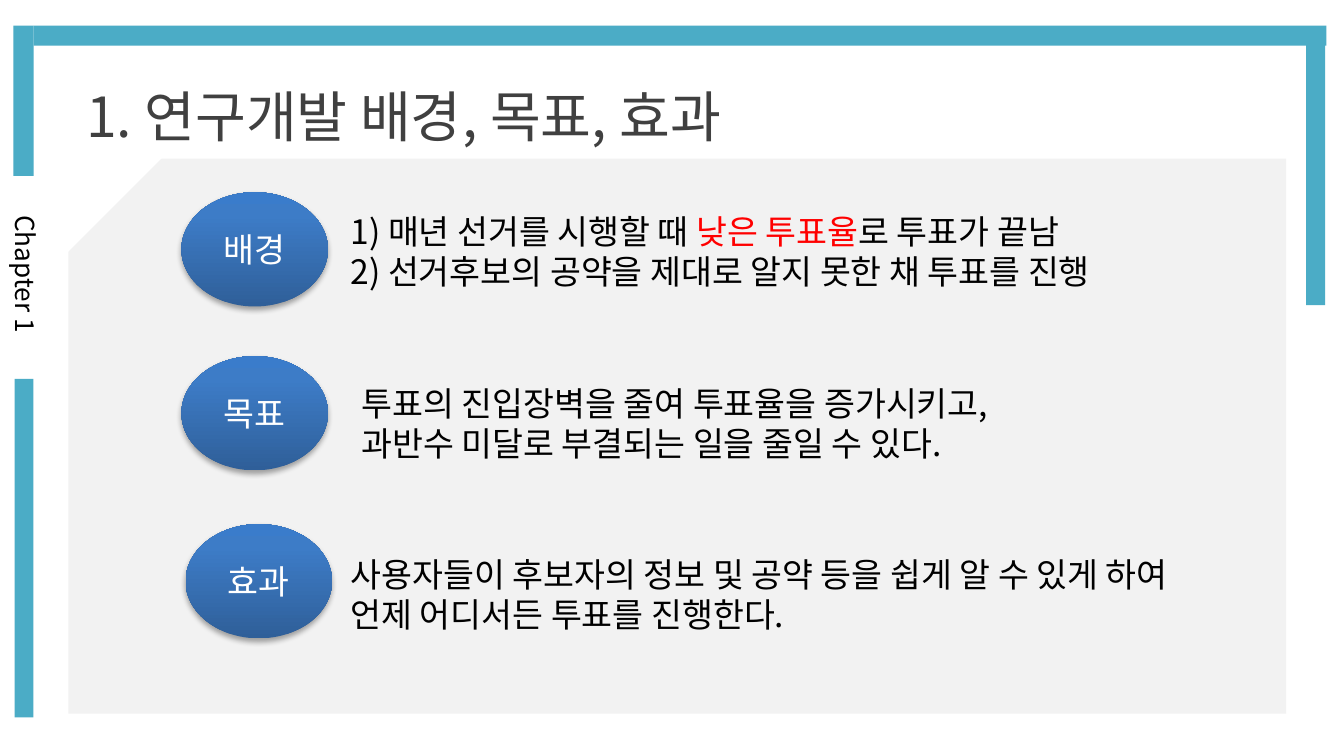
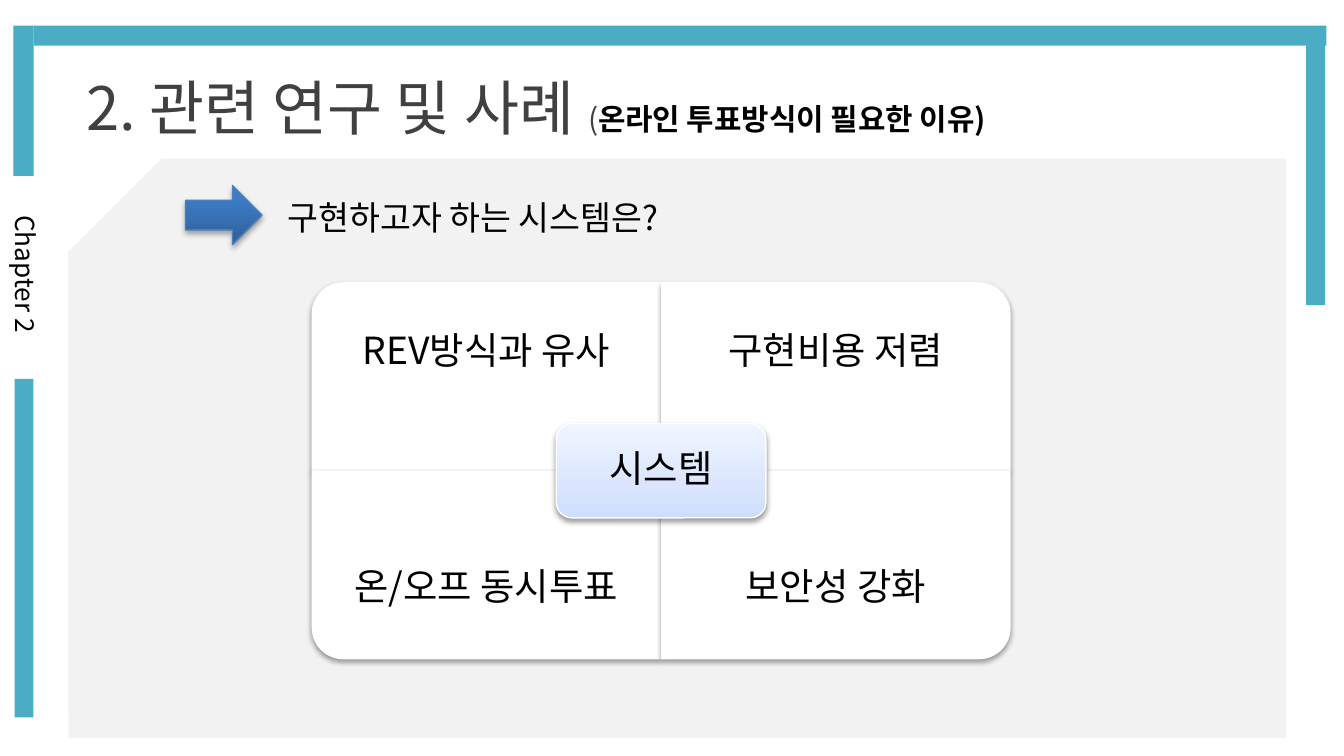
from lxml import etree
from pptx import Presentation
from pptx import util as u
from pptx.dml.color import RGBColor
from pptx.enum import shapes, text
from pptx.oxml.ns import qn

FONT = "Noto Sans CJK KR"
COLORS = {
    "band": "4BACC6", "panel": "F2F2F2", "white": "FFFFFF", "black": "000000",
    "title": "404040", "accent": "FF0000", "arrow_line": "4B7EBC",
}
BLUE_STOPS = [(0, "2F5F99"), (80, "3D7CC7"), (100, "3A7CCB")]
PALE_STOPS = [(0, "CDDDFE"), (35, "DBE6FE"), (100, "F0F5FF")]
BLUE_SHADOW = (35, 1.8)
CARD_SHADOW = (38, 1.6)

PANEL = (36.7, 85, 652.3, 297.4)
LOWER_PANEL = (36.7, 94.3, 652.3, 301)
BANDS = [
    (7.2, 13.7, 10.8, 80.6),
    (7.9, 203, 10.1, 181.4),
    (18, 13.7, 692.6, 10.8),
    (699.8, 17.3, 10.1, 146.2),
]
CORNER = (34.6, 51.8, 85, 85)
CHAPTER = (-48.2, 134.6, 123.8, 24.5)

Shape = shapes.MSO_SHAPE
Align = text.PP_ALIGN
Anchor = text.MSO_ANCHOR


def rgb(name):
    return RGBColor.from_string(COLORS[name])


def points(box):
    return [u.Pt(value) for value in box]


def write(shape, paragraphs, size=18, color="black", align=Align.LEFT,
          anchor=Anchor.TOP, inset=None, spacing=None, grow=False):
    """Fill a shape with paragraphs: strings, or lists of (text, overrides)."""
    frame = shape.text_frame
    frame.word_wrap = True
    frame.vertical_anchor = anchor
    frame.auto_size = (text.MSO_AUTO_SIZE.SHAPE_TO_FIT_TEXT if grow
                       else text.MSO_AUTO_SIZE.NONE)
    if inset is not None:
        frame.margin_left = frame.margin_right = u.Pt(inset)
        frame.margin_top = frame.margin_bottom = u.Pt(inset)
    for index, content in enumerate(paragraphs):
        para = frame.add_paragraph() if index else frame.paragraphs[0]
        para.alignment = align
        if spacing:
            para.line_spacing = spacing
        parts = [(content, {})] if isinstance(content, str) else content
        for words, style in parts:
            span = para.add_run()
            span.text = words
            span.font.name = FONT
            span.font.size = u.Pt(style.get("size", size))
            span.font.bold = style.get("bold", False)
            span.font.color.rgb = rgb(style.get("color", color))
            east_asian = etree.SubElement(span.font._element, qn("a:ea"))
            east_asian.set("typeface", FONT)


def add_text(slide, box, paragraphs, **style):
    write(slide.shapes.add_textbox(*points(box)), paragraphs, **style)


def set_gradient(shape, stops):
    """Run the stops from the bottom of the shape to its top."""
    shape.fill.gradient()
    shape.fill.gradient_angle = 90
    stop_list = shape.element.spPr.find(".//" + qn("a:gsLst"))
    for old_stop in list(stop_list):
        stop_list.remove(old_stop)
    for position, color in stops:
        stop = etree.SubElement(stop_list, qn("a:gs"), pos=str(position * 1000))
        etree.SubElement(stop, qn("a:srgbClr"), val=color)


def set_shadow(shape, opacity, distance):
    effects = shape.element.spPr.find(qn("a:effectLst"))
    shadow = etree.SubElement(
        effects, qn("a:outerShdw"), blurRad=str(u.Pt(3.1)),
        dist=str(u.Pt(distance)), dir="5400000", rotWithShape="0")
    color = etree.SubElement(shadow, qn("a:srgbClr"), val=COLORS["black"])
    etree.SubElement(color, qn("a:alpha"), val=str(opacity * 1000))


def add_shape(slide, kind, box, fill, line=None, shadow=None, rotation=0):
    """Draw a preset; fill is a colour name or a list of gradient stops."""
    shape = slide.shapes.add_shape(kind, *points(box))
    shape.rotation = rotation
    if isinstance(fill, str):
        shape.fill.solid()
        shape.fill.fore_color.rgb = rgb(fill)
    else:
        set_gradient(shape, fill)
    if line:
        shape.line.color.rgb = rgb(line)
        shape.line.width = u.Pt(0.75)
    else:
        shape.line.fill.background()
    shape.shadow.inherit = False
    if shadow:
        set_shadow(shape, *shadow)
    return shape


def add_frame(slide, chapter, panels):
    for panel in panels:
        add_shape(slide, Shape.RECTANGLE, panel, "panel")
    label = slide.shapes.add_textbox(*points(CHAPTER))
    label.rotation = 90
    write(label, [chapter], size=14, align=Align.CENTER, grow=True)
    for band in BANDS:
        add_shape(slide, Shape.RECTANGLE, band, "band")
    add_shape(slide, Shape.RIGHT_TRIANGLE, CORNER, "white", rotation=90)


def add_title(slide, box, content, size):
    """Place the title in front of the panel it overlaps."""
    title = slide.shapes.title
    title.left, title.top, title.width, title.height = points(box)
    write(title, [content], size=size, color="title", anchor=Anchor.MIDDLE)
    slide.shapes.element.append(title.element)


def add_topic(slide, left, top, name, text_left, text_top, paragraphs):
    oval = add_shape(slide, Shape.OVAL, (left, top, 78.5, 61.2), BLUE_STOPS,
                     shadow=BLUE_SHADOW)
    write(oval, [name], color="white", align=Align.CENTER, anchor=Anchor.MIDDLE)
    add_text(slide, (text_left, text_top, 481.7, 51.1), paragraphs, grow=True)


def add_matrix(slide, box, labels, center):
    """Four cards with rounded outer corners around a central badge."""
    left, top, width, height = box
    card_width, card_height = width / 2, height / 2
    label_height = card_height * 0.75
    style = dict(size=20, align=Align.CENTER, anchor=Anchor.MIDDLE, spacing=0.9)
    for index, (label, rotation) in enumerate(zip(labels, (270, 0, 180, 90))):
        row, column = divmod(index, 2)
        x, y = left + column * card_width, top + row * card_height
        card = (x, y, card_width, card_height)
        if rotation % 180:
            shift = (card_width - card_height) / 2
            card = (x + shift, y - shift, card_height, card_width)
        add_shape(slide, Shape.ROUND_1_RECTANGLE, card, "white",
                  shadow=CARD_SHADOW, rotation=rotation)
        label_top = y + row * (card_height - label_height)
        add_text(slide, (x, label_top, card_width, label_height), [label],
                 inset=11.5, **style)
    badge_width, badge_height = width * 0.3, height / 4
    badge = add_shape(
        slide, Shape.ROUNDED_RECTANGLE,
        (left + (width - badge_width) / 2, top + (height - badge_height) / 2,
         badge_width, badge_height),
        PALE_STOPS, line="white", shadow=CARD_SHADOW)
    write(badge, [center], inset=5.8, **style)


def build_background_slide(slide):
    add_frame(slide, "Chapter 1", [PANEL])
    add_title(slide, (38.9, 24.5, 383, 74.9), "1. 연구개발 배경, 목표, 효과", 29.6)
    add_topic(slide, 97.2, 103, "배경", 180.7, 109.4, [
        [("1) 매년 선거를 시행할 때 ", {}), ("낮은 투표율", {"color": "accent"}),
         ("로 투표가 끝남", {})],
        "2) 선거후보의 공약을 제대로 알지 못한 채 투표를 진행"])
    add_topic(slide, 97.2, 190.8, "목표", 186.5, 201.6, [
        "투표의 진입장벽을 줄여 투표율을 증가시키고,",
        "과반수 미달로 부결되는 일을 줄일 수 있다."])
    add_topic(slide, 99.4, 280.8, "효과", 180.7, 293, [
        "사용자들이 후보자의 정보 및 공약 등을 쉽게 알 수 있게 하여 "
        "언제 어디서든 투표를 진행한다."])


def build_research_slide(slide):
    add_frame(slide, "Chapter 2", [PANEL, LOWER_PANEL])
    add_matrix(slide, (167, 151.2, 374.4, 202),
               ["REV방식과 유사", "구현비용 저렴", "온/오프 동시투표", "보안성 강화"],
               "시스템")
    add_shape(slide, Shape.RIGHT_ARROW, (99.4, 99.4, 41, 31.7), BLUE_STOPS,
              line="arrow_line", shadow=BLUE_SHADOW)
    add_text(slide, (146.9, 102.2, 351.4, 28.8), ["구현하고자 하는 시스템은?"],
             grow=True)
    add_title(slide, (38.9, 18, 567.4, 77.8), [
        ("2. 관련 연구 및 사례 ", {}), ("(", {"size": 16}),
        ("온라인 투표방식이 필요한 이유)",
         {"size": 16, "color": "black", "bold": True})], 32)


def main():
    deck = Presentation()
    deck.slide_width, deck.slide_height = u.Pt(720), u.Pt(405)
    title_only = deck.slide_layouts[5]
    for build in (build_background_slide, build_research_slide):
        build(deck.slides.add_slide(title_only))
    deck.save("out.pptx")


if __name__ == "__main__":
    main()
